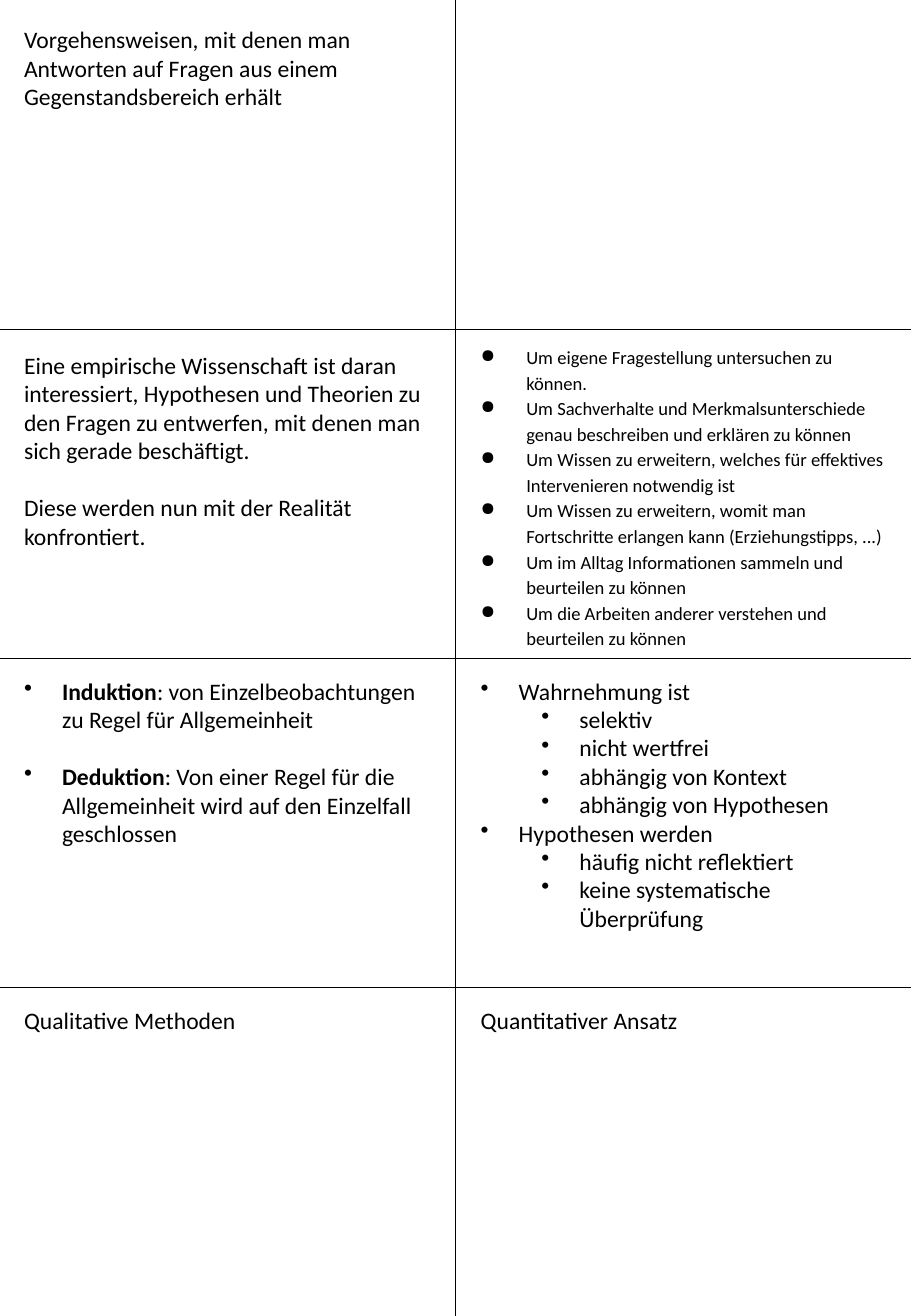
from dataclasses import dataclass

from lxml.etree import SubElement
from pptx import Presentation
from pptx.dml.color import RGBColor
from pptx.enum.shapes import MSO_CONNECTOR
from pptx.enum.text import MSO_AUTO_SIZE
from pptx.oxml.ns import qn
from pptx.util import Pt


@dataclass(frozen=True)
class Theme:
    font: str = "Calibri"
    ink: RGBColor = RGBColor(0, 0, 0)
    body: int = 14
    small: int = 11
    rule: float = 0.5
    gap: int = 17


@dataclass(frozen=True)
class Item:
    text: str
    lead: str = ""
    level: int = 0
    gap: bool = False


THEME = Theme()
WIDTH, HEIGHT = 540, 780
ROWS = 4
COL_W, ROW_H = WIDTH / 2, HEIGHT / ROWS
CARD_LEFT, CARD_W, CARD_STEP = 7.2, 255, 270.7
LEVEL_STEP = 36

BULLETS = {"bullet": "•", "indent": 22.5}
REASON_LIST = {"bullet": "●", "indent": 27, "size": THEME.small, "spacing": 1.15}

METHOD = [Item("Vorgehensweisen, mit denen man Antworten auf Fragen aus einem "
               "Gegenstandsbereich erhält")]
EMPIRICISM = [
    Item("Eine empirische Wissenschaft ist daran interessiert, Hypothesen und Theorien zu "
         "den Fragen zu entwerfen, mit denen man sich gerade beschäftigt."),
    Item("Diese werden nun mit der Realität konfrontiert.", gap=True),
]
REASONS = [
    Item("Um eigene Fragestellung untersuchen zu können."),
    Item("Um Sachverhalte und Merkmalsunterschiede genau beschreiben und erklären zu können"),
    Item("Um Wissen zu erweitern, welches für effektives Intervenieren notwendig ist"),
    Item("Um Wissen zu erweitern, womit man Fortschritte erlangen kann (Erziehungstipps, ...)"),
    Item("Um im Alltag Informationen sammeln und beurteilen zu können"),
    Item("Um die Arbeiten anderer verstehen und beurteilen zu können"),
]
INFERENCE = [
    Item(": von Einzelbeobachtungen zu Regel für Allgemeinheit", lead="Induktion"),
    Item(": Von einer Regel für die Allgemeinheit wird auf den Einzelfall geschlossen",
         lead="Deduktion", gap=True),
]
PERCEPTION = [
    Item("Wahrnehmung ist"),
    Item("selektiv", level=1),
    Item("nicht wertfrei", level=1),
    Item("abhängig von Kontext", level=1),
    Item("abhängig von Hypothesen", level=1),
    Item("Hypothesen werden"),
    Item("häufig nicht reflektiert", level=1),
    Item("keine systematische Überprüfung", level=1),
]

CARDS = [
    (0, 0, 11.5, 58, METHOD, {}),
    (1, 0, 9.5, 126, EMPIRICISM, {}),
    (1, 1, 4.5, 190, REASONS, REASON_LIST),
    (2, 0, 7.5, 109, INFERENCE, BULLETS),
    (2, 1, 7.5, 160, PERCEPTION, BULLETS),
    (3, 0, 7.5, 24.5, [Item("Qualitative Methoden")], {}),
    (3, 1, 7.5, 24.5, [Item("Quantitativer Ansatz")], {}),
]


def set_all(target, values):
    """Set each named attribute of the target."""
    for name, value in values.items():
        setattr(target, name, value)


def add_rule(s, x1, y1, x2, y2):
    """Draw one thin cutting line between cards."""
    line = s.shapes.add_connector(MSO_CONNECTOR.STRAIGHT, Pt(x1), Pt(y1), Pt(x2), Pt(y2))
    line.line.color.rgb = THEME.ink
    line.line.width = Pt(THEME.rule)
    SubElement(line._element.spPr, qn("a:effectLst"))


def add_bullet(p, char, indent, level):
    """Give a paragraph a hanging bullet at its level."""
    pPr = p._p.get_or_add_pPr()
    pPr.set("marL", str(Pt(indent + level * LEVEL_STEP)))
    pPr.set("indent", str(Pt(-indent)))
    SubElement(pPr, qn("a:buChar")).set("char", char)


def add_run(p, text, size, bold=False):
    """Append a run in the theme's font and ink."""
    r = p.add_run()
    r.text = text
    set_all(r.font, {"name": THEME.font, "size": Pt(size), "bold": bold})
    r.font.color.rgb = THEME.ink


def add_item(p, item, bullet=None, indent=0, size=THEME.body, spacing=None):
    """Fill a paragraph with one item of a card."""
    p.level = item.level
    if bullet:
        add_bullet(p, bullet, indent, item.level)
    if spacing:
        p.line_spacing = spacing
    if item.gap:
        p.space_before = Pt(THEME.gap)
    if item.lead:
        add_run(p, item.lead, size, bold=True)
    add_run(p, item.text, size)


def add_card(s, row, col, offset, height, items, style):
    """Place a card's text in its grid cell."""
    sp = s.shapes.add_textbox(Pt(CARD_LEFT + col * CARD_STEP), Pt(row * ROW_H + offset),
                              Pt(CARD_W), Pt(height))
    tf = sp.text_frame
    set_all(tf, {"word_wrap": True, "auto_size": MSO_AUTO_SIZE.SHAPE_TO_FIT_TEXT})
    for i, item in enumerate(items):
        p = tf.add_paragraph() if i else tf.paragraphs[0]
        add_item(p, item, **style)


def main():
    """Build the sheet of flash cards and save it."""
    prs = Presentation()
    set_all(prs, {"slide_width": Pt(WIDTH), "slide_height": Pt(HEIGHT)})
    s = prs.slides.add_slide(prs.slide_layouts[6])
    for row in range(1, ROWS):
        add_rule(s, 0, row * ROW_H, WIDTH, row * ROW_H)
    add_rule(s, COL_W, 0, COL_W, HEIGHT)
    for card in CARDS:
        add_card(s, *card)
    prs.save("out.pptx")


if __name__ == "__main__":
    main()
